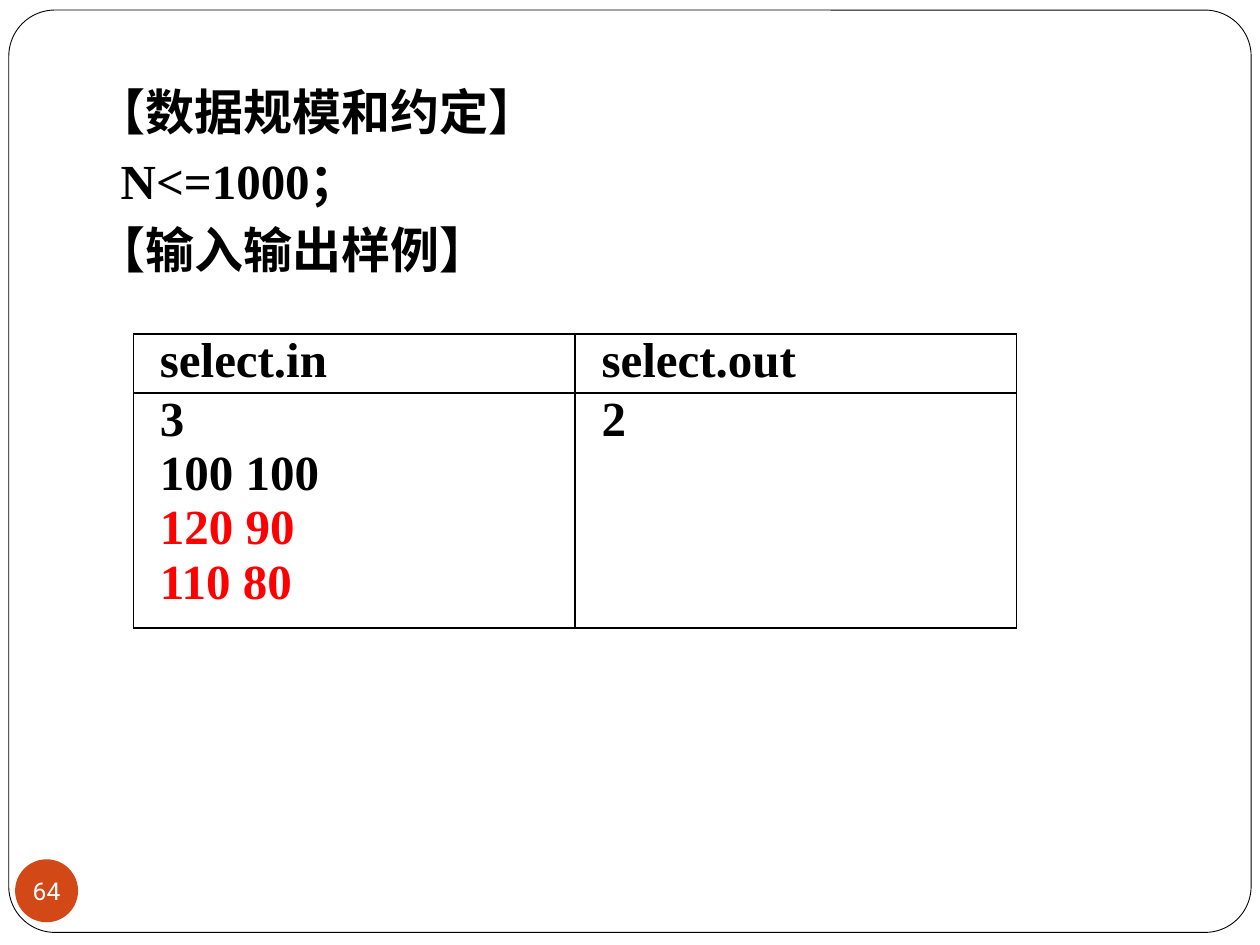
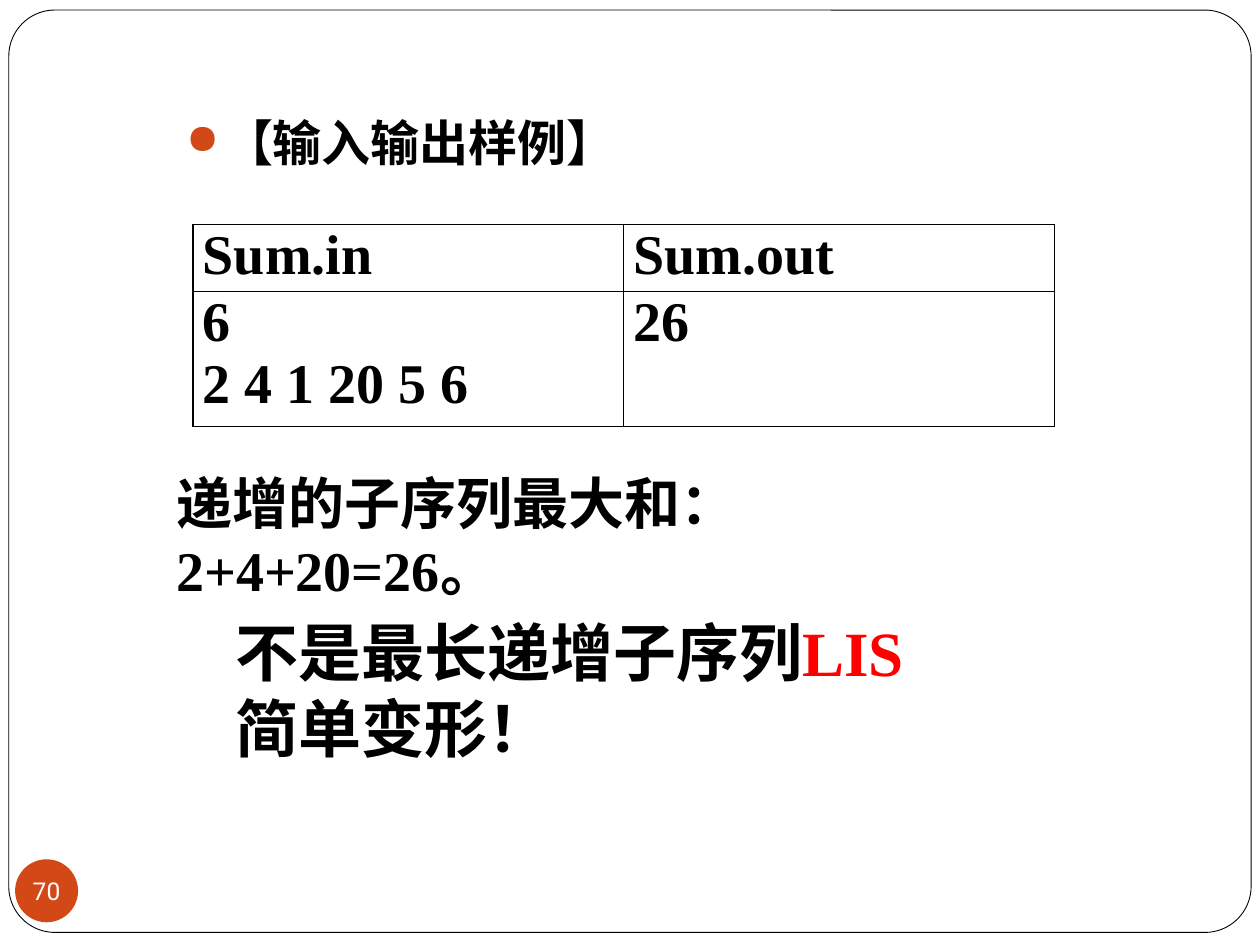
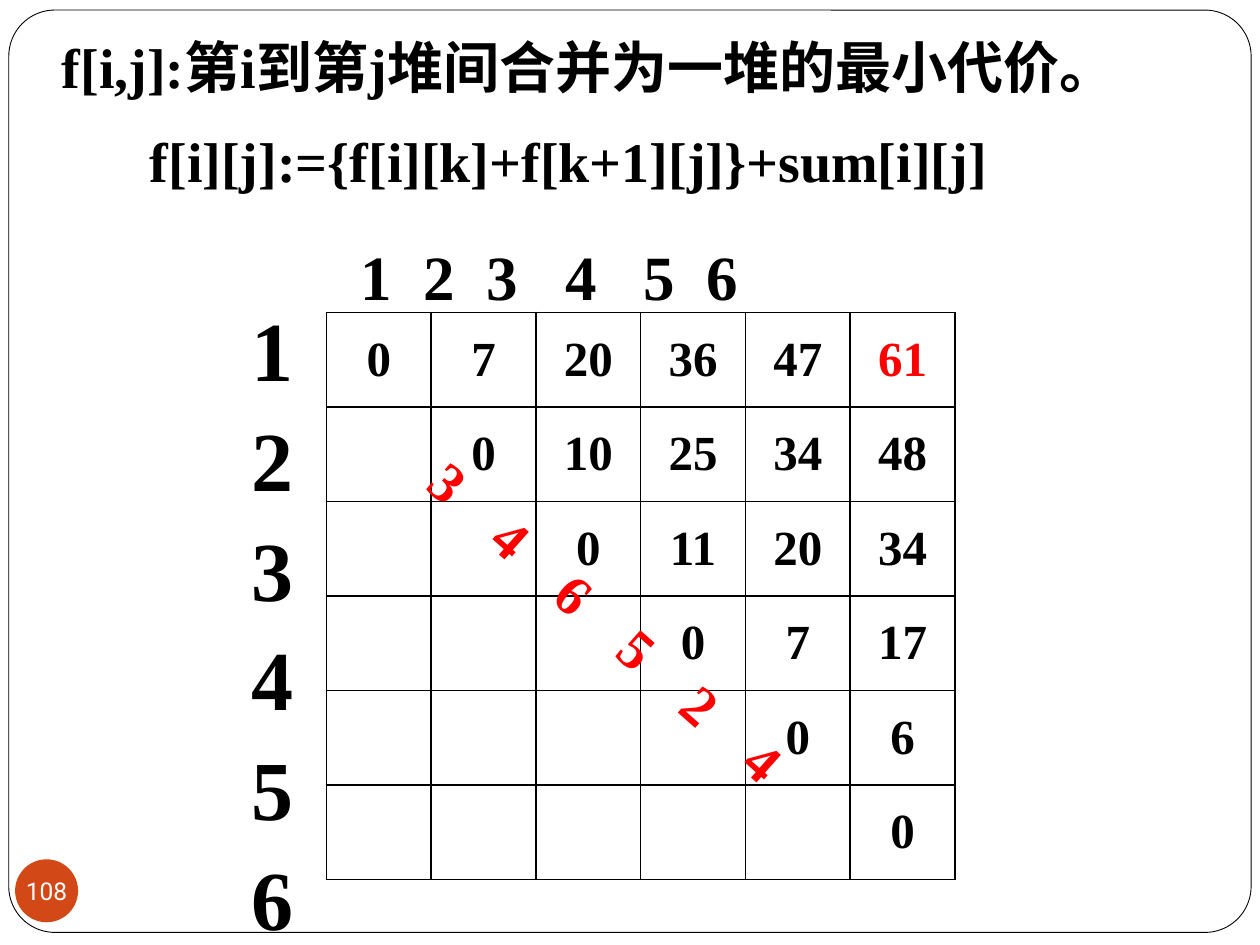
from itertools import product

from lxml import etree
from pptx import Presentation
from pptx.dml.color import RGBColor
from pptx.enum.shapes import MSO_SHAPE
from pptx.enum.text import MSO_ANCHOR, MSO_AUTO_SIZE, PP_ALIGN
from pptx.oxml.ns import qn
from pptx.util import Inches, Pt

BLACK = RGBColor(0x00, 0x00, 0x00)
WHITE = RGBColor(0xFF, 0xFF, 0xFF)
RED = RGBColor(0xFF, 0x00, 0x00)
ORANGE = RGBColor(0xD3, 0x48, 0x17)

SERIF = "Times New Roman"
TITLE_ONLY, BLANK = 5, 6
LATIN_SPACING = 1.09  # line spacing of boxes holding only Latin text


def set_attrs(obj, values):
    for name, value in values.items():
        setattr(obj, name, value)


def sub(parent, tag, **attrs):
    return etree.SubElement(parent, qn(tag), {k: str(v) for k, v in attrs.items()})


# --- text ---

def write(tf, lines, size, color=BLACK, font=SERIF, bold=True, **para):
    """Fill a frame; a line is a string or a list of (text, colour) runs."""
    for i, line in enumerate(lines):
        p = tf.paragraphs[0] if i == 0 else tf.add_paragraph()
        set_attrs(p, para)
        if i == 0:
            p.space_before = Pt(0)
        runs = [(line, color)] if isinstance(line, str) else line
        for text, run_color in runs:
            r = p.add_run()
            r.text = text
            set_attrs(r.font, {"name": font, "size": Pt(size), "bold": bold})
            r.font.color.rgb = run_color


def add_text(s, box, lines, size, **fmt):
    sp = s.shapes.add_textbox(*map(Inches, box))
    sp.text_frame.word_wrap = True
    write(sp.text_frame, lines, size, **fmt)
    return sp


def add_title(s, box, text, size):
    sp = s.shapes.title
    set_attrs(sp, dict(zip(("left", "top", "width", "height"), map(Inches, box))))
    set_attrs(sp.text_frame, {"word_wrap": True, "auto_size": MSO_AUTO_SIZE.NONE,
                              "vertical_anchor": MSO_ANCHOR.TOP})
    write(sp.text_frame, [text], size, alignment=PP_ALIGN.LEFT)


def set_indent(p, left=0, first=0):
    pPr = p._p.get_or_add_pPr()
    pPr.set("marL", str(Inches(left)))
    pPr.set("indent", str(Inches(first)))
    return pPr


def set_bullet(p, char, color, percent):
    pPr = set_indent(p, 0.3, -0.3)
    sub(sub(pPr, "a:buClr"), "a:srgbClr", val=color)
    sub(pPr, "a:buSzPct", val=percent * 1000)
    sub(pPr, "a:buChar", char=char)


def set_tabs(p, stops):
    tabs = sub(p._p.get_or_add_pPr(), "a:tabLst")
    for stop in stops:
        sub(tabs, "a:tab", pos=Inches(stop), algn="l")


# --- frame and page number ---

def add_shape(s, kind, box, fill):
    sp = s.shapes.add_shape(kind, *map(Inches, box))
    sp.shadow.inherit = False
    sp.fill.solid()
    sp.fill.fore_color.rgb = fill
    return sp


def new_slide(prs, layout, number):
    s = prs.slides.add_slide(prs.slide_layouts[layout])
    frame = add_shape(s, MSO_SHAPE.ROUNDED_RECTANGLE, (0.07, 0.08, 9.86, 7.32), WHITE)
    frame.adjustments[0] = 0.05
    frame.line.color.rgb = BLACK
    frame.line.width = Pt(0.5)
    if s.shapes.title is not None:  # keep the frame behind the title
        s.shapes._spTree.insert(2, frame._element)

    badge = add_shape(s, MSO_SHAPE.OVAL, (0.12, 6.82, 0.5, 0.5), ORANGE)
    badge.line.fill.background()
    tf = badge.text_frame
    set_attrs(tf, {"margin_left": 0, "margin_right": 0, "margin_top": 0,
                   "margin_bottom": 0, "word_wrap": False,
                   "vertical_anchor": MSO_ANCHOR.MIDDLE})
    write(tf, [str(number)], 14, color=WHITE, font="Roboto", bold=False,
          alignment=PP_ALIGN.CENTER)
    return s


# --- tables ---

def set_borders(cell):
    tcPr = cell._tc.get_or_add_tcPr()
    for i, side in enumerate(("a:lnL", "a:lnR", "a:lnT", "a:lnB")):
        ln = etree.Element(qn(side), {"w": str(Pt(1))})
        sub(sub(ln, "a:solidFill"), "a:srgbClr", val=BLACK)
        tcPr.insert(i, ln)


def add_grid(s, box, heights, rows, size, margins, indent=0,
             align=PP_ALIGN.LEFT, anchor=MSO_ANCHOR.TOP):
    """Table of equal columns; each cell is a list of lines."""
    n_cols = len(rows[0])
    table = s.shapes.add_table(len(rows), n_cols, *map(Inches, box)).table
    set_attrs(table, {"first_row": False, "horz_banding": False})
    for col in table.columns:
        col.width = Inches(box[2] / n_cols)
    for row, height in zip(table.rows, heights):
        row.height = Inches(height)
    side, end = map(Inches, margins)
    for i, j in product(range(len(rows)), range(n_cols)):
        cell = table.cell(i, j)
        set_attrs(cell, {"margin_left": side, "margin_right": side, "margin_top": end,
                         "margin_bottom": end, "vertical_anchor": anchor})
        cell.fill.background()
        set_borders(cell)
        write(cell.text_frame, rows[i][j], size, alignment=align)
        if indent:
            for p in cell.text_frame.paragraphs:
                set_indent(p, 0, indent)


# --- slides ---

def build_select_sample(prs):
    s = new_slide(prs, BLANK, 64)
    sp = add_text(s, (0.67, 0.6, 8.5, 1.81),
                  ["【数据规模和约定】", "N<=1000；", "【输入输出样例】"], 28,
                  space_before=Pt(5.8))
    set_indent(sp.text_frame.paragraphs[1], 0.19)
    rows = [[["select.in"], ["select.out"]],
            [["3", "100 100", [("120 90", RED)], [("110 80", RED)]], ["2"]]]
    add_grid(s, (1.06, 2.65, 7.01, 2.15), (0.43, 1.72), rows, 28, (0.07, 0), indent=0.14)


def build_sum_sample(prs):
    s = new_slide(prs, BLANK, 70)
    sp = add_text(s, (1.38, 0.84, 4.33, 0.79), ["【输入输出样例】"], 28)
    set_bullet(sp.text_frame.paragraphs[0], "●", ORANGE, 85)
    rows = [[["Sum.in"], ["Sum.out"]],
            [["6", "2 4 1 20 5 6"], ["26"]]]
    add_grid(s, (1.53, 1.78, 6.84, 1.6), (0.53, 1.07), rows, 32, (0.08, 0))
    add_text(s, (1.3, 3.67, 7.19, 1.2), ["递增的子序列最大和：", "2+4+20=26。"], 32)
    add_text(s, (1.77, 4.82, 5.75, 1.31),
             [[("不是最长递增子序列", BLACK), ("LIS", RED)], "简单变形！"], 36)


def build_merge_costs(prs):
    s = new_slide(prs, TITLE_ONLY, 108)
    add_title(s, (0.39, 0.21, 9.29, 0.64), "f[i,j]:第i到第j堆间合并为一堆的最小代价。", 32)
    add_text(s, (1.09, 0.91, 7.2, 0.64), ["f[i][j]:={f[i][k]+f[k+1][j]}+sum[i][j]"], 32,
             line_spacing=LATIN_SPACING)

    # Cost table: the upper triangle, row by row
    costs = [[0, 7, 20, 36, 47, 61], [0, 10, 25, 34, 48], [0, 11, 20, 34],
             [0, 7, 17], [0, 6], [0]]
    n = len(costs)
    rows = [[[]] * (n - len(row)) + [[str(cost)] for cost in row] for row in costs]
    rows[0][-1] = [[("61", RED)]]
    add_grid(s, (2.59, 2.48, 4.99, 4.5), [0.75] * n, rows, 28, (0.1, 0.05),
             align=PP_ALIGN.CENTER, anchor=MSO_ANCHOR.MIDDLE)

    # Pile sizes along the diagonal
    piles = add_text(s, (1.34, 4.57, 7.01, 0.64), ["\t".join("346524")], 32, color=RED,
                     line_spacing=LATIN_SPACING)
    piles.rotation = 41.5
    piles.text_frame.margin_left = Inches(1.73)
    set_tabs(piles.text_frame.paragraphs[0], [k * 2 / 3 for k in range(1, n)])

    # Column and row numbers
    indices = [str(k) for k in range(1, n + 1)]
    heads = add_text(s, (2.76, 1.78, 4.92, 0.71), ["\t".join(indices)], 36,
                     line_spacing=LATIN_SPACING)
    set_tabs(heads.text_frame.paragraphs[0], (0.5, 1, 1.63, 2.25, 2.75))
    add_text(s, (1.9, 2.24, 0.57, 4.95), indices, 48, line_spacing=LATIN_SPACING)


def main():
    prs = Presentation()
    set_attrs(prs, {"slide_width": Inches(10), "slide_height": Inches(7.5)})
    build_select_sample(prs)
    build_sum_sample(prs)
    build_merge_costs(prs)
    prs.save("out.pptx")


if __name__ == "__main__":
    main()
